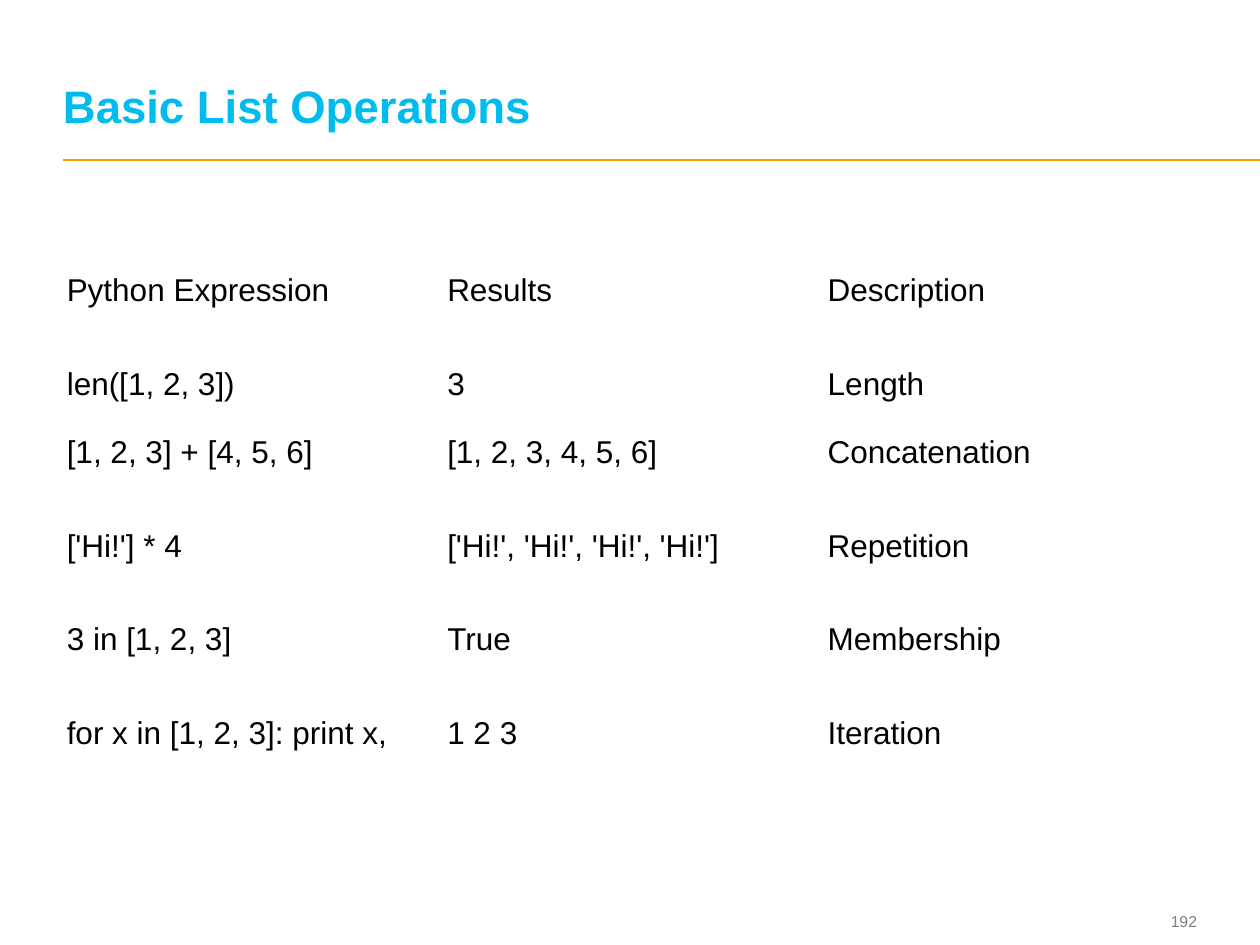
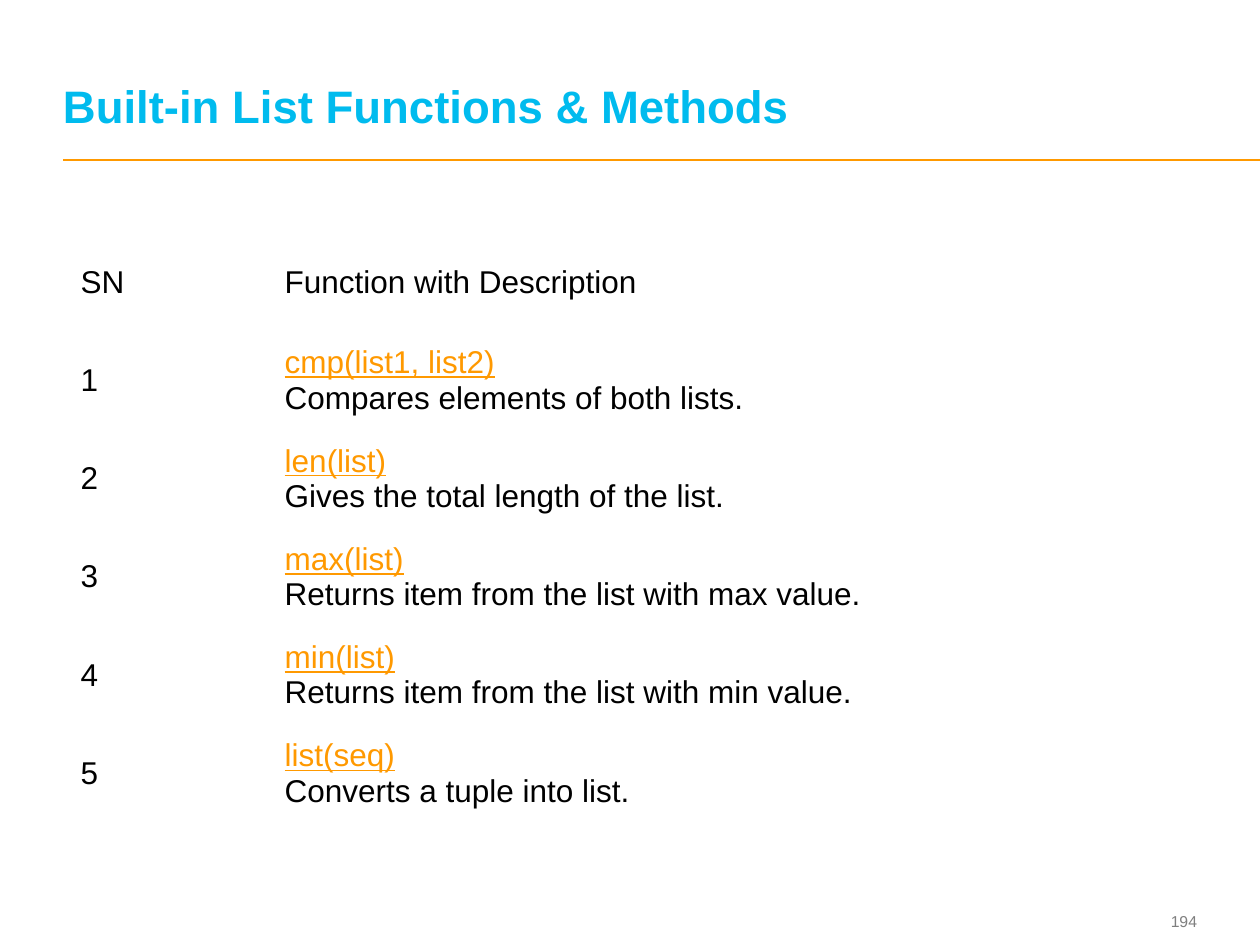
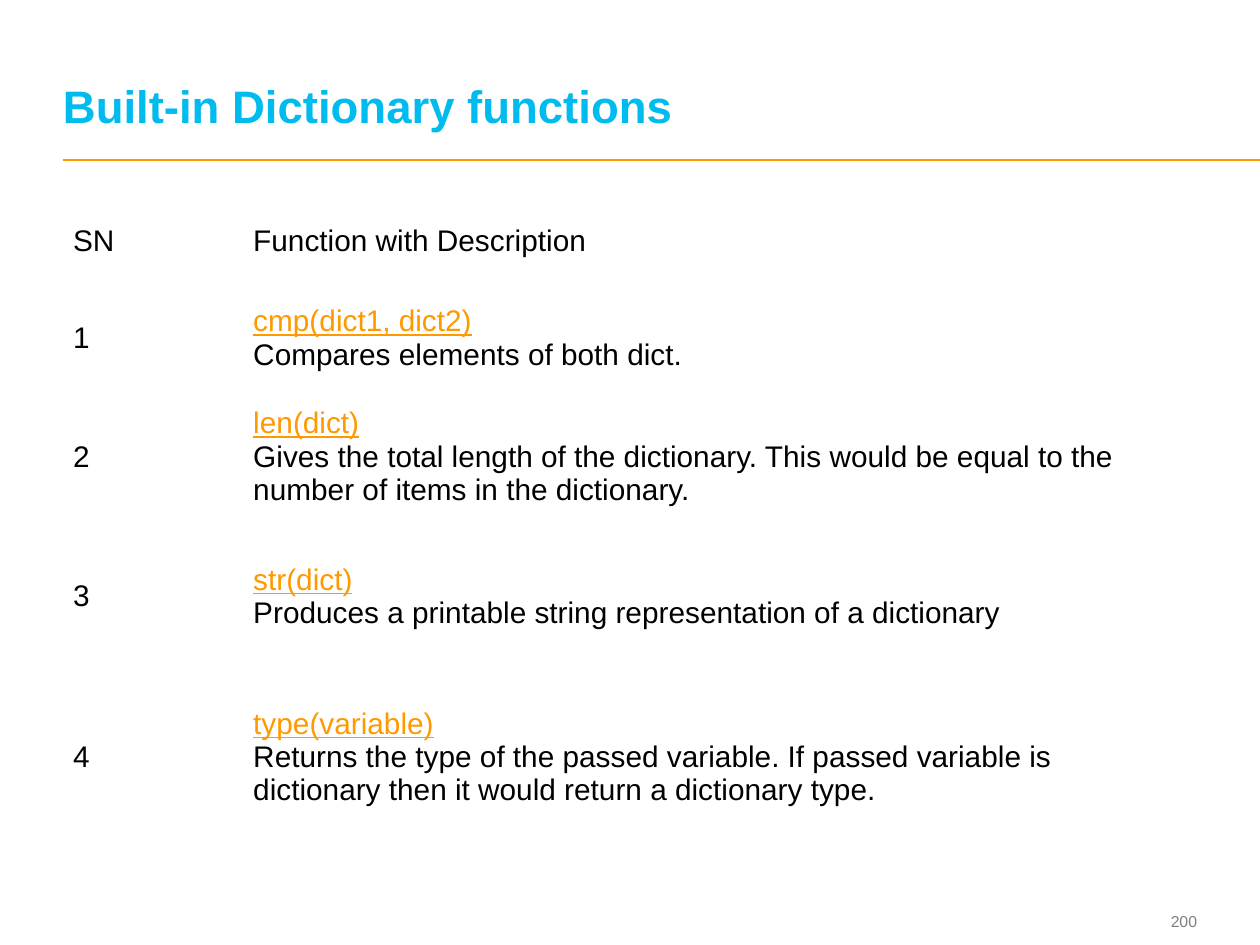
from copy import deepcopy
from dataclasses import dataclass

from lxml import etree
from pptx import Presentation
from pptx.dml.color import RGBColor
from pptx.enum import shapes, text
from pptx.oxml import ns
from pptx.util import Inches, Pt


@dataclass(frozen=True)
class Theme:
    font: str = "Arial"
    title: RGBColor = RGBColor(0x00, 0xBB, 0xEE)
    accent: RGBColor = RGBColor(0xFF, 0x99, 0x00)
    body: RGBColor = RGBColor(0x00, 0x00, 0x00)
    muted: RGBColor = RGBColor(0x7F, 0x7F, 0x7F)
    title_size: int = 26
    body_size: int = 18
    compact_size: int = 17
    number_size: int = 9
    rule_width: int = 1


THEME = Theme()
TITLE_BOX = (0.5, 0.19, 8.97, 0.86)
NUMBER_BOX = (8.91, 7.18, 0.59, 0.27)
RULE_LEFT, RULE_TOP, SLIDE_WIDTH, SLIDE_HEIGHT = 0.5, 1.27, 10, 7.5

OPERATIONS = [
    ("Python Expression", "Results", "Description"),
    ("len([1, 2, 3])", "3", "Length"),
    ("[1, 2, 3] + [4, 5, 6]", "[1, 2, 3, 4, 5, 6]", "Concatenation"),
    ("['Hi!'] * 4", "['Hi!', 'Hi!', 'Hi!', 'Hi!']", "Repetition"),
    ("3 in [1, 2, 3]", "True", "Membership"),
    ("for x in [1, 2, 3]: print x,", "1 2 3", "Iteration"),
]
LIST_FUNCTIONS = [
    ("cmp(list1, list2)", "Compares elements of both lists."),
    ("len(list)", "Gives the total length of the list."),
    ("max(list)", "Returns item from the list with max value."),
    ("min(list)", "Returns item from the list with min value."),
    ("list(seq)", "Converts a tuple into list."),
]
DICTIONARY_FUNCTIONS = [
    ("cmp(dict1, dict2)", "Compares elements of both dict."),
    ("len(dict)", "Gives the total length of the dictionary. This would be equal "
                  "to the number of items in the dictionary."),
    ("str(dict)", "Produces a printable string representation of a dictionary"),
    ("type(variable)", "Returns the type of the passed variable. If passed variable is "
                       "dictionary then it would return a dictionary type."),
]


def add_run(paragraph, content, size, color, bold=False, underline=False):
    run = paragraph.add_run()
    run.text = content
    font = run.font
    font.name, font.size, font.bold, font.underline = THEME.font, Pt(size), bold, underline
    font.color.rgb = color
    return run


def add_text(slide, box, content, size, color, anchor, bold=False):
    frame = slide.shapes.add_textbox(*map(Inches, box)).text_frame
    frame.word_wrap = True
    frame.vertical_anchor = anchor
    frame.margin_left = frame.margin_top = frame.margin_right = frame.margin_bottom = 0
    paragraph = frame.paragraphs[0]
    add_run(paragraph, content, size, color, bold)
    return paragraph


def add_frame(presentation, title, number):
    slide = presentation.slides.add_slide(presentation.slide_layouts[6])
    rule = slide.shapes.add_connector(
        shapes.MSO_CONNECTOR.STRAIGHT,
        *map(Inches, (RULE_LEFT, RULE_TOP, SLIDE_WIDTH, RULE_TOP)))
    rule.line.color.rgb = THEME.accent
    rule.line.width = Pt(THEME.rule_width)
    etree.SubElement(rule._element.spPr, ns.qn("a:effectLst"))
    number_paragraph = add_text(slide, NUMBER_BOX, str(number), THEME.number_size,
                                THEME.muted, text.MSO_ANCHOR.MIDDLE)
    number_paragraph.alignment = text.PP_ALIGN.RIGHT
    title_paragraph = add_text(slide, TITLE_BOX, title, THEME.title_size,
                               THEME.title, text.MSO_ANCHOR.BOTTOM, bold=True)
    title_paragraph.line_spacing = Pt(THEME.title_size)
    return slide


def fill_cell(cell, content, size, side_margin):
    cell.fill.background()
    cell.vertical_anchor = text.MSO_ANCHOR.MIDDLE
    cell.margin_left = cell.margin_right = Inches(side_margin)
    cell.margin_top = cell.margin_bottom = Inches(0.05)
    paragraph = cell.text_frame.paragraphs[0]
    if isinstance(content, str):
        add_run(paragraph, content, size, THEME.body)
        return
    signature, description = content
    add_run(paragraph, signature, size, THEME.accent, underline=True)
    paragraph.add_line_break()
    line_break = paragraph._p[-1]
    description_run = add_run(paragraph, description, size, THEME.body)
    line_break.append(deepcopy(description_run._r.rPr))


def add_grid(slide, left, top, widths, heights, rows, size, side_margin=0.1):
    graphic = slide.shapes.add_table(
        len(rows), len(widths),
        *map(Inches, (left, top, sum(widths), sum(heights))))
    table = graphic.table
    table.first_row = table.horz_banding = False
    for column, width in zip(table.columns, widths):
        column.width = Inches(width)
    for table_row, height, row in zip(table.rows, heights, rows):
        table_row.height = Inches(height)
        for cell, content in zip(table_row.cells, row):
            fill_cell(cell, content, size, side_margin)


def function_rows(functions):
    numbered = [(str(index), entry) for index, entry in enumerate(functions, 1)]
    return [("SN", "Function with Description")] + numbered


def main():
    presentation = Presentation()
    presentation.slide_width = Inches(SLIDE_WIDTH)
    presentation.slide_height = Inches(SLIDE_HEIGHT)

    slide = add_frame(presentation, "Basic List Operations", 192)
    add_grid(slide, 0.43, 1.83, [3.02] * 3, [0.95, 0.54, 0.54, 0.95, 0.54, 0.95],
             OPERATIONS, THEME.body_size)

    slide = add_frame(presentation, "Built-in List Functions & Methods", 194)
    add_grid(slide, 0.54, 1.85, [1.62, 7.57], [0.78] * 6,
             function_rows(LIST_FUNCTIONS), THEME.body_size)

    slide = add_frame(presentation, "Built-in Dictionary functions", 200)
    add_grid(slide, 0.49, 1.53, [1.43, 7.54], [0.77, 0.77, 1.11, 1.11, 1.44],
             function_rows(DICTIONARY_FUNCTIONS), THEME.compact_size, side_margin=0.09)

    presentation.save("out.pptx")


if __name__ == "__main__":
    main()
